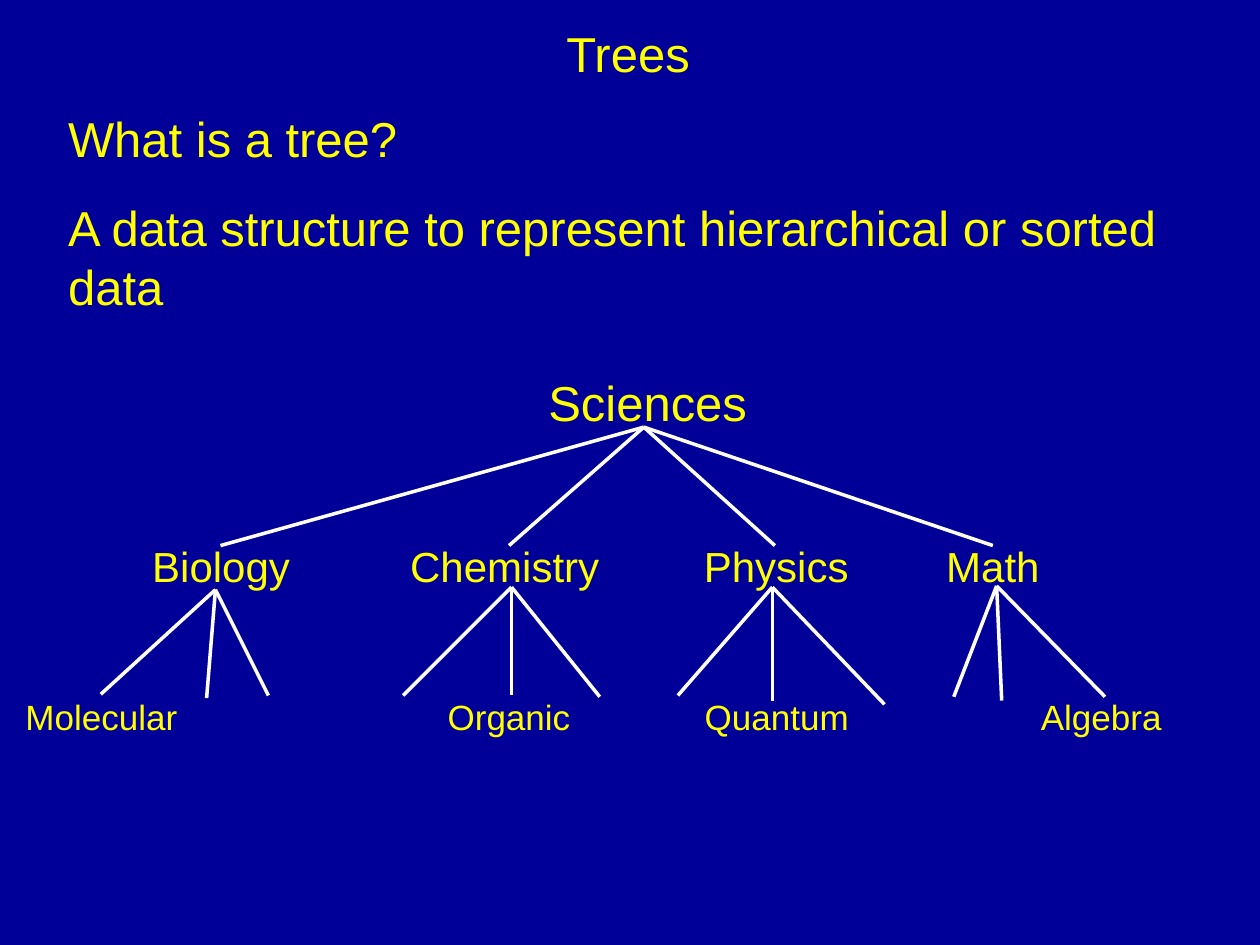
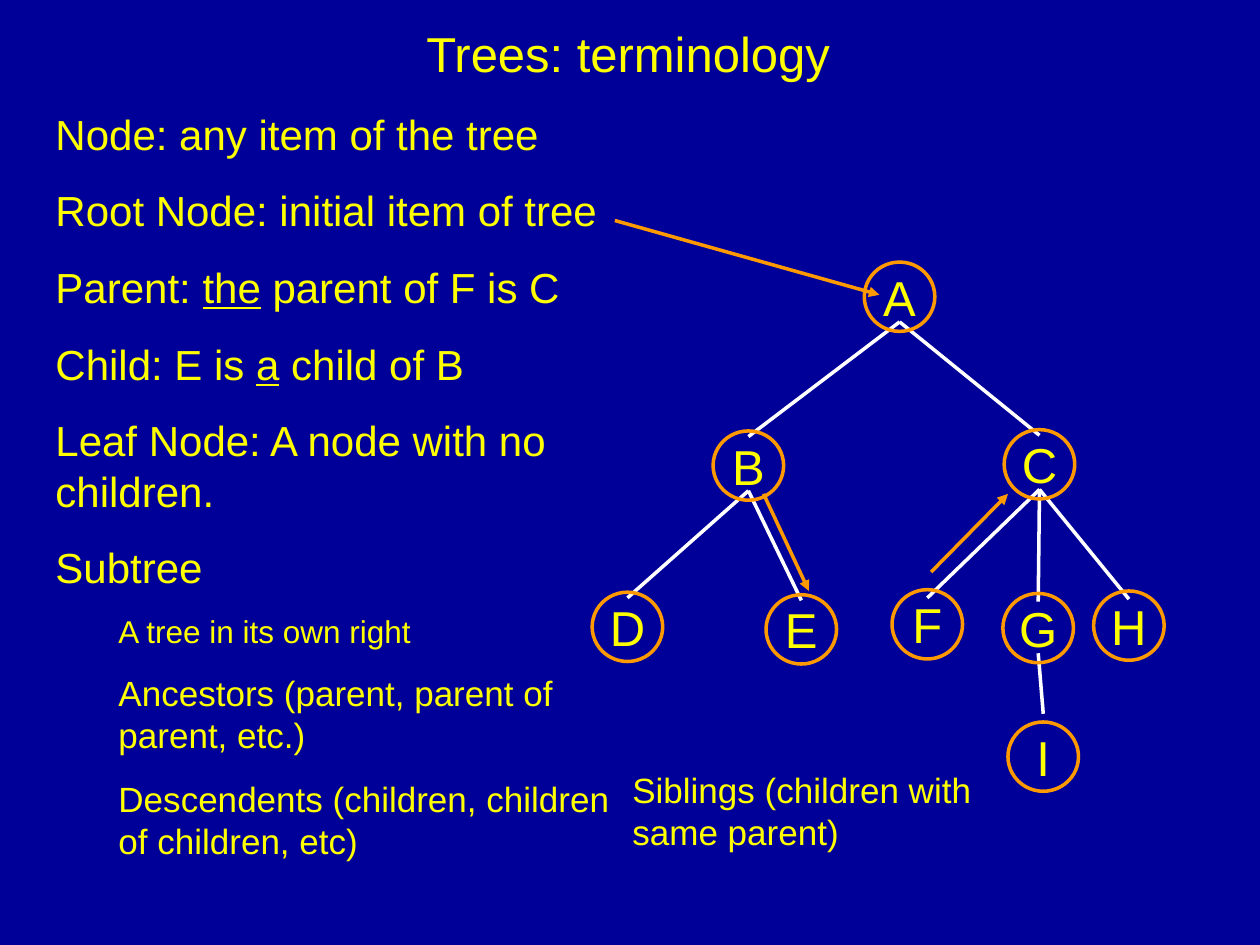
from pptx import Presentation
from pptx.dml.color import RGBColor
from pptx.enum.shapes import MSO_CONNECTOR, MSO_SHAPE
from pptx.enum.text import MSO_ANCHOR, MSO_AUTO_SIZE, PP_ALIGN
from pptx.oxml.ns import qn
from pptx.util import Inches, Pt
from lxml import etree

LEFT, CENTER = PP_ALIGN.LEFT, PP_ALIGN.CENTER
MIDDLE, TOP = MSO_ANCHOR.MIDDLE, MSO_ANCHOR.TOP
NO_AUTOFIT = MSO_AUTO_SIZE.NONE
STRAIGHT, OVAL = MSO_CONNECTOR.STRAIGHT, MSO_SHAPE.OVAL

WIDTH, HEIGHT = Inches(10), Inches(7.5)
COLUMN, ROW = WIDTH / 100, HEIGHT / 75
FONT = "Arial"
COLORS = {"background": "000099", "text": "FFFF00", "branch": "FFFFFF", "accent": "FF9900"}
SPACE_SHARE = 0.625
LINE_WIDTH = Pt(2)
LEVEL_INDENT = Inches(0.5)

DEFINITION = [
    ("What is a tree?", 28, 0),
    ("A data structure to represent hierarchical or sorted data", 28, 0),
]
SCIENCE_LEVELS = [
    (29.1, 28, [("Sciences", 51.4, 20.4)]),
    (42.4, 24, [("Biology", 17.55, 14.1), ("Chemistry", 40.05, 17.5),
                ("Physics", 61.6, 13.8), ("Math", 78.8, 10.6)]),
    (54.7, 20, [("Molecular", 8.05, 14.1), ("Organic", 40.4, 12.4),
                ("Quantum", 61.65, 14.5), ("Algebra", 87.4, 13.2)]),
]
SCIENCE_FANS = [
    ((51.1, 33.9), [(17.5, 43.3), (40.4, 43.3), (61.5, 43.3), (78.8, 43.3)]),
    ((17.1, 46.8), [(8, 55.1), (16.4, 55.4), (21.3, 55.2)]),
    ((40.6, 46.6), [(32, 55.2), (40.6, 55.2), (47.6, 55.3)]),
    ((61.3, 46.6), [(53.8, 55.2), (61.3, 55.6), (70.2, 55.9)]),
    ((79.1, 46.5), [(75.7, 55.3), (79.5, 55.6), (87.7, 55.3)]),
]

TERMS = [
    ("Node: any item of the tree", 24, 0),
    ("Root Node: initial item of tree", 24, 0),
    ("Parent: _the_ parent of F is C", 24, 0),
    ("Child: E is _a_ child of B", 24, 0),
    ("Leaf Node: A node with no children.", 24, 0),
    ("Subtree", 24, 0),
    ("A tree in its own right", 18, 1),
    ("Ancestors (parent, parent of parent, etc.)", 20, 1),
    ("Descendents (children, children of children, etc)", 20, 1),
]
SIBLINGS = [("Siblings (children with same parent)", 20, 0)]
NODE_WIDTH, NODE_HEIGHT = 5.6, 5.5
NODES = {
    "A": (71.4, 23.55), "B": (59.4, 36.95), "C": (82.5, 36.85),
    "D": (49.8, 49.75), "E": (63.6, 49.95), "F": (73.6, 49.55),
    "G": (82.4, 49.85), "H": (89.6, 49.65), "I": (82.8, 60.05),
}
FAMILIES = [("A", "BC", 2.3), ("B", "DE", 2.3), ("C", "FGH", 2.1), ("G", "I", 3.4)]
BRANCH_START = 2
POINTERS = [
    ((48.8, 17.5), (69.8, 23.4)),
    ((73.9, 45.4), (80, 39.2)),
    ((60.6, 39.2), (64.2, 46.9)),
]


def color(name):
    """Return a named colour of the deck."""
    return RGBColor.from_string(COLORS[name])


def cells(left, top, width, height):
    """Turn grid columns and rows into slide lengths."""
    return int(left * COLUMN), int(top * ROW), int(width * COLUMN), int(height * ROW)


def place(box, area):
    """Move a placeholder to an area of the grid."""
    box.left, box.top, box.width, box.height = cells(*area)


def style_frame(frame, anchor=TOP, wrap=True, padded=True):
    """Set wrapping, anchoring and insets of a text frame."""
    frame.auto_size = NO_AUTOFIT
    frame.word_wrap = wrap
    frame.vertical_anchor = anchor
    frame.margin_left = frame.margin_right = Inches(0.1 if padded else 0)
    frame.margin_top = frame.margin_bottom = Inches(0.05 if padded else 0)


def write(para, text, size, align=LEFT, level=0, space=0):
    """Write one paragraph, underlining the words between underscores."""
    properties = para._p.get_or_add_pPr()
    properties.set("marL", str(level * LEVEL_INDENT))
    properties.set("indent", "0")
    etree.SubElement(properties, qn("a:buNone"))
    para.level = level
    para.alignment = align
    para.space_before = Pt(space)
    para.font.name = FONT
    para.font.size = Pt(size)
    para.font.color.rgb = color("text")
    for index, part in enumerate(text.split("_")):
        span = para.add_run()
        span.text = part
        if index % 2:
            span.font.underline = True


def write_list(box, items):
    """Fill a box with paragraphs spaced in proportion to their size."""
    frame = box.text_frame
    style_frame(frame)
    for index, (text, size, level) in enumerate(items):
        para = frame.add_paragraph() if index else frame.paragraphs[0]
        write(para, text, size, level=level, space=size * SPACE_SHARE if index else 0)


def add_page(deck, title, items, area):
    """Add a page with a centred title and a body list."""
    page = deck.slides.add_slide(deck.slide_layouts[1])
    heading, body = page.shapes.title, page.placeholders[1]
    place(heading, (13.8, 1.7, 72.1, 5))
    style_frame(heading.text_frame, MIDDLE, padded=False)
    write(heading.text_frame.paragraphs[0], title, 28, CENTER)
    place(body, area)
    write_list(body, items)
    return page


def add_label(page, text, center, top, width, size):
    """Add a one-line label centred on a column."""
    box = page.shapes.add_textbox(*cells(center - width / 2, top, width, size / 5))
    style_frame(box.text_frame, wrap=False)
    write(box.text_frame.paragraphs[0], text, size, CENTER)


def add_line(page, start, end, tone="branch", arrow=False):
    """Draw a straight line between two grid points."""
    ends = [int(value * unit) for point in (start, end)
            for value, unit in zip(point, (COLUMN, ROW))]
    line = page.shapes.add_connector(STRAIGHT, *ends)
    line.line.color.rgb = color(tone)
    line.line.width = LINE_WIDTH
    properties = line.element.spPr
    if arrow:
        etree.SubElement(properties.find(qn("a:ln")), qn("a:tailEnd"), type="triangle")
    etree.SubElement(properties, qn("a:effectLst"))


def add_node(page, name):
    """Draw a ringed tree node with its letter."""
    x, y = NODES[name]
    ring = page.shapes.add_shape(
        OVAL, *cells(x - NODE_WIDTH / 2, y - NODE_HEIGHT / 2, NODE_WIDTH, NODE_HEIGHT))
    ring.shadow.inherit = False
    ring.fill.background()
    ring.line.color.rgb = color("accent")
    ring.line.width = LINE_WIDTH
    style_frame(ring.text_frame, MIDDLE, wrap=False, padded=False)
    write(ring.text_frame.paragraphs[0], name, 28, CENTER)


def add_sciences(deck):
    """Build the page that defines a tree by the sciences."""
    page = add_page(deck, "Trees", DEFINITION, (4.4, 8.1, 91.4, 17.5))
    for top, size, labels in SCIENCE_LEVELS:
        for text, center, width in labels:
            add_label(page, text, center, top, width, size)
    for start, ends in SCIENCE_FANS:
        for end in ends:
            add_line(page, start, end)


def add_terminology(deck):
    """Build the page that names the parts of a tree."""
    page = add_page(deck, "Trees: terminology", TERMS, (3.4, 8.1, 46.9, 65.9))
    for parent, children, gap in FAMILIES:
        x, y = NODES[parent]
        for child in children:
            child_x, child_y = NODES[child]
            add_line(page, (x, y + BRANCH_START), (child_x, child_y - gap))
    for name in NODES:
        add_node(page, name)
    for start, end in POINTERS:
        add_line(page, start, end, "accent", arrow=True)
    write_list(page.shapes.add_textbox(*cells(49.2, 60.5, 34.8, 7.7)), SIBLINGS)


def main():
    """Build and save the deck."""
    deck = Presentation()
    deck.slide_width, deck.slide_height = WIDTH, HEIGHT
    fill = deck.slide_master.background.fill
    fill.solid()
    fill.fore_color.rgb = color("background")
    add_sciences(deck)
    add_terminology(deck)
    deck.save("out.pptx")


if __name__ == "__main__":
    main()
